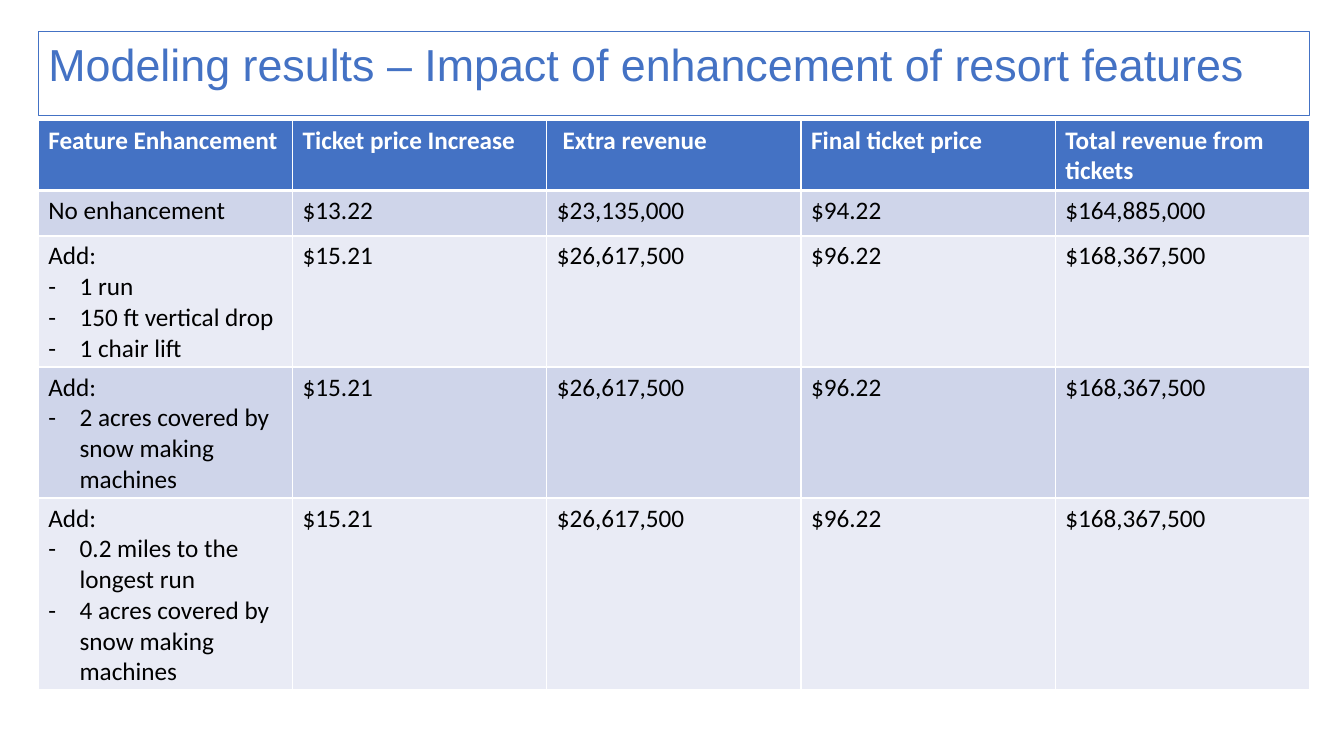
from dataclasses import dataclass

from lxml import etree
from pptx import Presentation
from pptx.dml.color import RGBColor
from pptx.enum import text
from pptx.oxml import ns
from pptx.util import Inches, Pt


@dataclass(frozen=True)
class Theme:
    """Colours, fonts and type sizes of the slide."""
    blue: str = "4472C4"
    white: str = "FFFFFF"
    black: str = "000000"
    bands: tuple = ("CFD5EA", "E9EBF5")
    head: str = "Arial"
    body: str = "Calibri"
    big: int = 32
    small: int = 18


THEME = Theme()
LEFT, WIDTH = 0.38, 12.61
HEADS = ["Feature Enhancement", "Ticket price Increase", " Extra revenue",
         "Final ticket price", "Total revenue from tickets"]
RAISED = ["$15.21", "$26,617,500", "$96.22", "$168,367,500"]
ROWS = [
    ["No enhancement", "$13.22", "$23,135,000", "$94.22", "$164,885,000"],
    [["Add:", "1 run", "150 ft vertical drop", "1 chair lift"], *RAISED],
    [["Add:", "2 acres covered by snow making machines"], *RAISED],
    [["Add:", "0.2 miles to the longest run",
      "4 acres covered by snow making machines"], *RAISED],
]
HEIGHTS = [0.69, 0.45, 1.3, 1.3, 1.9]


def set_font(para, face, size, color, bold=False):
    """Format a whole paragraph."""
    font = para.font
    font.name, font.size, font.bold = face, Pt(size), bold
    font.color.rgb = RGBColor.from_string(color)


def add_dash(para):
    """Give a paragraph a dash bullet and a hanging indent."""
    props = para._p.get_or_add_pPr()
    props.set("marL", str(Inches(0.31)))
    props.set("indent", str(Inches(-0.31)))
    etree.SubElement(props, ns.qn("a:buFont"), typeface=THEME.body)
    etree.SubElement(props, ns.qn("a:buChar"), char="-")


def add_edges(cell, top, base):
    """Draw white borders around a cell, widths in points."""
    props = cell._tc.get_or_add_tcPr()
    sides = {"lnL": 1, "lnR": 1, "lnT": top, "lnB": base}
    for spot, (side, width) in enumerate(sides.items()):
        line = etree.Element(ns.qn(f"a:{side}"), w=str(Pt(width)))
        fill = etree.SubElement(line, ns.qn("a:solidFill"))
        etree.SubElement(fill, ns.qn("a:srgbClr"), val=THEME.white)
        props.insert(spot, line)


def fill_cell(cell, value, row):
    """Write, colour and border one table cell."""
    lines = [value] if isinstance(value, str) else value
    cell.text = "\n".join(lines)
    is_head = row == 0
    for spot, para in enumerate(cell.text_frame.paragraphs):
        if spot:
            add_dash(para)
        set_font(para, THEME.body, THEME.small,
                 THEME.white if is_head else THEME.black, is_head)
    cell.fill.solid()
    shade = THEME.blue if is_head else THEME.bands[(row - 1) % 2]
    cell.fill.fore_color.rgb = RGBColor.from_string(shade)
    add_edges(cell, 3 if row == 1 else 1, 3 if is_head else 1)


def add_title(slide, words):
    """Place the outlined title."""
    title = slide.shapes.title
    title.left, title.top = Inches(LEFT), Inches(0.31)
    title.width, title.height = Inches(WIDTH), Inches(0.64)
    title.line.color.rgb = RGBColor.from_string(THEME.blue)
    title.line.width = Pt(0.75)
    frame = title.text_frame
    frame.text = words
    frame.word_wrap = True
    frame.auto_size = text.MSO_AUTO_SIZE.SHAPE_TO_FIT_TEXT
    frame.vertical_anchor = text.MSO_ANCHOR.TOP
    para = frame.paragraphs[0]
    para.alignment = text.PP_ALIGN.LEFT
    set_font(para, THEME.head, THEME.big, THEME.blue)


def add_grid(slide, rows):
    """Build the results table."""
    grid = slide.shapes.add_table(
        len(rows), len(rows[0]), Inches(LEFT), Inches(1.19),
        Inches(WIDTH), Inches(sum(HEIGHTS))).table
    grid.horz_banding = False
    for row, values in enumerate(rows):
        grid.rows[row].height = Inches(HEIGHTS[row])
        for col, value in enumerate(values):
            fill_cell(grid.cell(row, col), value, row)


def main():
    """Build and save the slide."""
    deck = Presentation()
    deck.slide_width, deck.slide_height = Inches(13.33), Inches(7.5)
    slide = deck.slides.add_slide(deck.slide_layouts.get_by_name("Title Only"))
    add_title(slide, "Modeling results – Impact of enhancement of resort features")
    add_grid(slide, [HEADS, *ROWS])
    deck.save("out.pptx")


if __name__ == "__main__":
    main()
